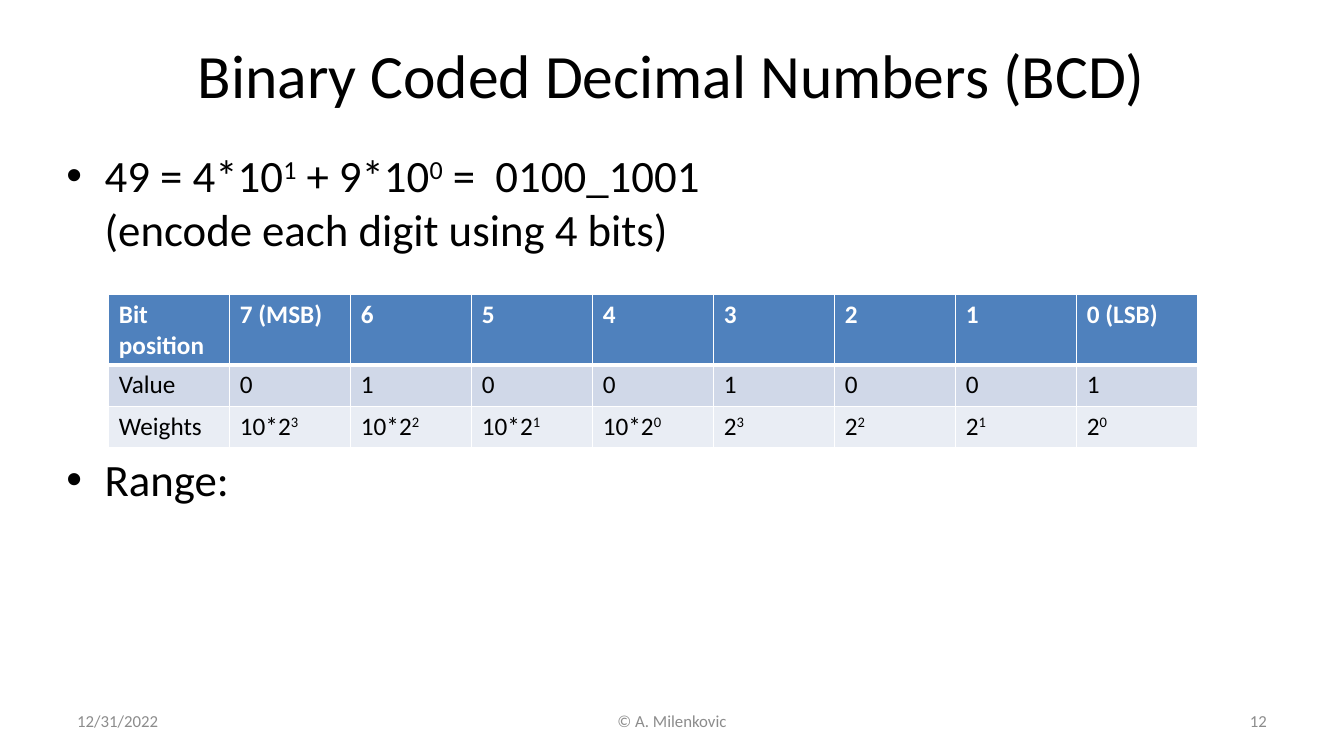
"""Build a slide that explains binary coded decimal numbers."""
from lxml import etree
from pptx import Presentation
from pptx.dml.color import RGBColor
from pptx.enum.text import MSO_ANCHOR, PP_ALIGN
from pptx.oxml.ns import qn
from pptx.util import Inches, Pt

SLIDE_WIDTH, SLIDE_HEIGHT = Inches(13.33), Inches(7.5)
BLACK = RGBColor(0x00, 0x00, 0x00)
WHITE = RGBColor(0xFF, 0xFF, 0xFF)
GRAY = RGBColor(0x8C, 0x8C, 0x8C)
HEADER_BLUE = RGBColor(0x4F, 0x81, 0xBD)
VALUE_BLUE = RGBColor(0xD0, 0xD8, 0xE8)
WEIGHT_BLUE = RGBColor(0xE9, 0xED, 0xF4)
FONT = "Calibri"

MARGIN = SLIDE_WIDTH // 20
CONTENT_WIDTH = SLIDE_WIDTH - 2 * MARGIN
COLUMN_WIDTH = Inches(1.2)
ROW_HEIGHTS = [Inches(0.7), Inches(0.41), Inches(0.41)]
BULLET_INDENT = Inches(0.38)
RANGE_GAP = Pt(140)

BIT_ROWS = [
    ["Bit position", "7 (MSB)", *"654321", "0 (LSB)"],
    ["Value", *"01001001"],
    ["Weights", *[f"{digit}2^{power}^" for digit in ("10*", "") for power in (3, 2, 1, 0)]],
]
ROW_STYLES = [(HEADER_BLUE, WHITE, True), (VALUE_BLUE, BLACK, False), (WEIGHT_BLUE, BLACK, False)]


def write(paragraph, text, size, color=BLACK, bold=False):
    """Write text in which carets enclose superscripts and newlines break lines."""
    for position, piece in enumerate(text.split("^")):
        for line_number, line in enumerate(piece.split("\n")):
            if line_number:
                paragraph.add_line_break()
            run = paragraph.add_run()
            run.text = line
            run.font.name, run.font.size, run.font.bold = FONT, Pt(size), bold
            run.font.color.rgb = color
            if position % 2:
                run.font._element.set("baseline", "30000")


def add_title(slide, text):
    """Fill and place the title placeholder."""
    title = slide.shapes.title
    title.left, title.top = MARGIN, Inches(0.3)
    title.width, title.height = CONTENT_WIDTH, Inches(0.87)
    title.text_frame.vertical_anchor = MSO_ANCHOR.MIDDLE
    paragraph = title.text_frame.paragraphs[0]
    paragraph.alignment = PP_ALIGN.CENTER
    write(paragraph, text, 44)


def add_bullets(slide, bullets):
    """Add a bulleted text box from pairs of text and space before."""
    box = slide.shapes.add_textbox(Inches(0.56), Inches(1.42), CONTENT_WIDTH, Inches(4.95))
    frame = box.text_frame
    frame.word_wrap = True
    for number, (text, space_before) in enumerate(bullets):
        paragraph = frame.add_paragraph() if number else frame.paragraphs[0]
        paragraph.space_before = space_before
        properties = paragraph._p.get_or_add_pPr()
        properties.set("marL", str(BULLET_INDENT))
        properties.set("indent", str(-BULLET_INDENT))
        etree.SubElement(properties, qn("a:buFont"), typeface="Arial")
        etree.SubElement(properties, qn("a:buChar"), char="•")
        write(paragraph, text, 32)


def add_borders(cell, bottom_width):
    """Draw white borders around a cell."""
    properties = cell._tc.get_or_add_tcPr()
    for side, width in (("L", 1), ("R", 1), ("T", 1), ("B", bottom_width)):
        line = etree.SubElement(properties, qn(f"a:ln{side}"), w=str(Pt(width)))
        fill = etree.SubElement(line, qn("a:solidFill"))
        etree.SubElement(fill, qn("a:srgbClr"), val=str(WHITE))


def add_bit_table(slide):
    """Add the table of bit positions, values and weights."""
    columns = len(BIT_ROWS[0])
    table = slide.shapes.add_table(
        len(BIT_ROWS), columns, Inches(1.08), Inches(2.92),
        columns * COLUMN_WIDTH, sum(ROW_HEIGHTS)).table
    for column in table.columns:
        column.width = COLUMN_WIDTH
    for row_number, (texts, style) in enumerate(zip(BIT_ROWS, ROW_STYLES)):
        fill, color, bold = style
        table.rows[row_number].height = ROW_HEIGHTS[row_number]
        for column_number, text in enumerate(texts):
            cell = table.cell(row_number, column_number)
            add_borders(cell, 1 if row_number else 3)
            cell.fill.solid()
            cell.fill.fore_color.rgb = fill
            write(cell.text_frame.paragraphs[0], text, 18, color, bold)


def add_footer(slide, text, left, width, alignment):
    """Add one part of the footer line."""
    box = slide.shapes.add_textbox(left, Inches(6.95), width, Inches(0.4))
    box.text_frame.word_wrap = True
    box.text_frame.vertical_anchor = MSO_ANCHOR.MIDDLE
    paragraph = box.text_frame.paragraphs[0]
    paragraph.alignment = alignment
    write(paragraph, text, 12, GRAY)


def main():
    """Build and save the slide."""
    presentation = Presentation()
    presentation.slide_width, presentation.slide_height = SLIDE_WIDTH, SLIDE_HEIGHT
    slide = presentation.slides.add_slide(presentation.slide_layouts.get_by_name("Title Only"))
    add_title(slide, "Binary Coded Decimal Numbers (BCD)")
    add_bullets(slide, [
        ("49 = 4*10^1^ + 9*10^0^ =  0100_1001 \n(encode each digit using 4 bits)", Pt(0)),
        ("Range: ", RANGE_GAP),
    ])
    side_width, center_width = Inches(3.11), Inches(4.22)
    add_footer(slide, "12/31/2022", MARGIN, side_width, PP_ALIGN.LEFT)
    add_footer(slide, "© A. Milenkovic", (SLIDE_WIDTH - center_width) // 2, center_width, PP_ALIGN.CENTER)
    add_footer(slide, "12", SLIDE_WIDTH - MARGIN - side_width, side_width, PP_ALIGN.RIGHT)
    add_bit_table(slide)
    presentation.save("out.pptx")


main()
